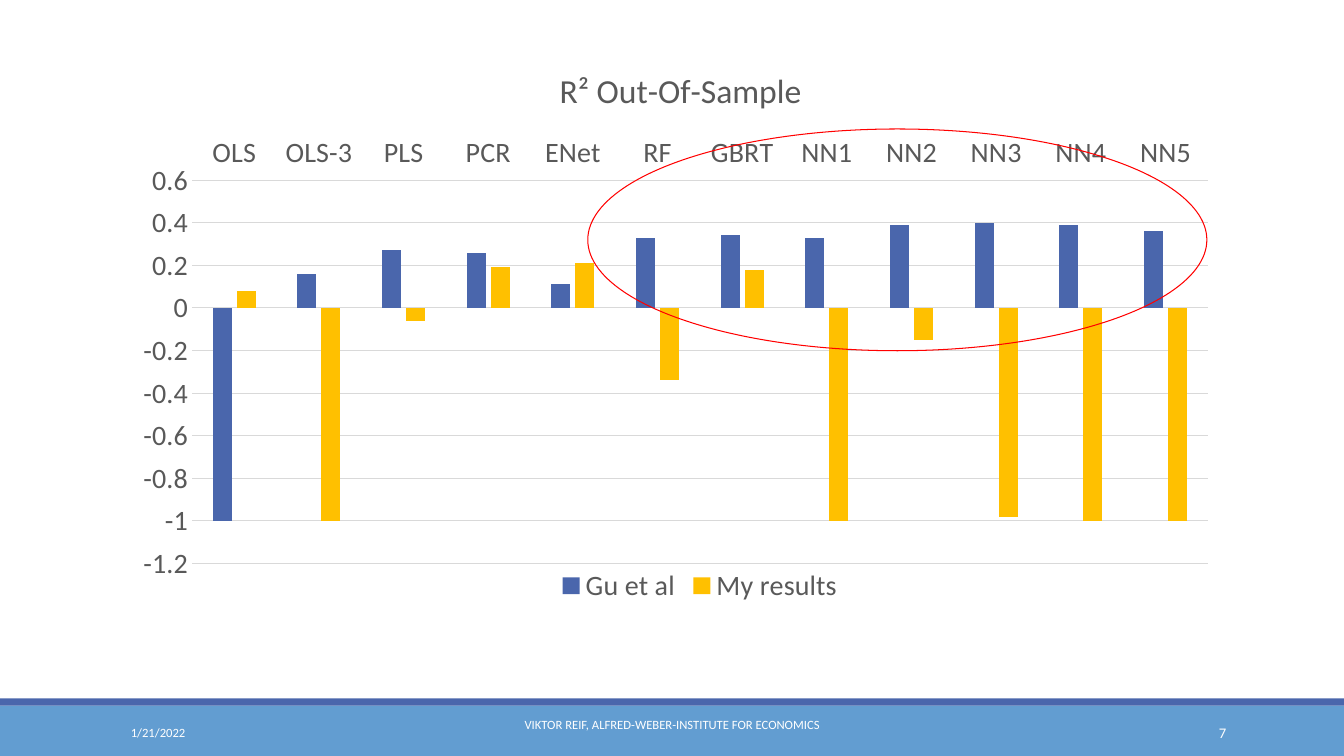
from lxml import etree
from pptx import Presentation
from pptx.chart.data import CategoryChartData
from pptx.dml.color import RGBColor
from pptx.enum import chart as kinds, shapes, text
from pptx.oxml.ns import qn
from pptx.util import Inches, Pt

BLUE, SKY, GOLD, RED = "4A66AC", "629DD1", "FFC000", "FF0000"
WHITE, GRAY, RULE = "FFFFFF", "595959", "D9D9D9"
ALIGN = text.PP_ALIGN


def color(code):
    return RGBColor.from_string(code)


def place(part, after, **spots):
    """Fix a chart part at fractions of the chart area."""
    for old in part.findall(qn("c:layout")):
        part.remove(old)
    layout = etree.Element(qn("c:layout"))
    manual = etree.SubElement(layout, qn("c:manualLayout"))
    if "w" in spots:
        etree.SubElement(manual, qn("c:layoutTarget")).set("val", "inner")
    for key in ("x", "y"):
        etree.SubElement(manual, qn(f"c:{key}Mode")).set("val", "edge")
    for key, val in spots.items():
        etree.SubElement(manual, qn(f"c:{key}")).set("val", str(val))
    part.insert(part.index(part.find(qn(after))) + 1 if after else 0, layout)


class Slide:
    def __init__(self, deck, font="Calibri"):
        self.font = font
        self.page = deck.slides.add_slide(deck.slide_layouts[6])

    def style(self, font, size, code):
        font.name, font.size, font.bold = self.font, Pt(size), False
        font.color.rgb = color(code)

    def shape(self, kind, box, fill=None, line=None):
        item = self.page.shapes.add_shape(kind, *map(Inches, box))
        item.shadow.inherit = False
        if fill:
            item.fill.solid()
            item.fill.fore_color.rgb = color(fill)
        else:
            item.fill.background()
        if line:
            item.line.color.rgb = color(line)
            item.line.width = Pt(0.75)
        else:
            item.line.fill.background()

    def label(self, words, box, size, align):
        frame = self.page.shapes.add_textbox(*map(Inches, box)).text_frame
        frame.word_wrap = True
        frame.vertical_anchor = text.MSO_ANCHOR.MIDDLE
        para = frame.paragraphs[0]
        para.alignment = align
        run = para.add_run()
        run.text = words
        self.style(run.font, size, WHITE)

    def columns(self, title, names, series, box):
        data = CategoryChartData()
        data.categories = names
        for name, _, vals in series:
            data.add_series(name, vals)
        chart = self.page.shapes.add_chart(
            kinds.XL_CHART_TYPE.COLUMN_CLUSTERED, *map(Inches, box), data).chart
        self.style(chart.font, 20, GRAY)

        # Title and legend
        chart.has_title = True
        run = chart.chart_title.text_frame.paragraphs[0].add_run()
        run.text = title
        self.style(run.font, 24, GRAY)
        place(chart.chart_title._element, "c:tx", x=0.39, y=0.027)
        chart.has_legend = True
        chart.legend.position = kinds.XL_LEGEND_POSITION.BOTTOM
        chart.legend.include_in_layout = False
        self.style(chart.legend.font, 20, GRAY)
        place(chart.legend._element, "c:legendPos", x=0.39, y=0.86)

        # Columns
        plot = chart.plots[0]
        plot.gap_width, plot.overlap, plot.vary_by_categories = 219, -27, False
        for bars, (_, code, _) in zip(plot.series, series):
            bars.invert_if_negative = False
            bars.format.fill.solid()
            bars.format.fill.fore_color.rgb = color(code)
        place(plot._element.getparent(), None, x=0.064, y=0.224, w=0.916, h=0.637)

        # Axes
        cats, vals = chart.category_axis, chart.value_axis
        for axis in (cats, vals):
            axis.major_tick_mark = axis.minor_tick_mark = kinds.XL_TICK_MARK.NONE
            self.style(axis.tick_labels.font, 20, GRAY)
        cats.tick_label_position = kinds.XL_TICK_LABEL_POSITION.HIGH
        vals.format.line.fill.background()
        for line in (cats.format.line, vals.major_gridlines.format.line):
            line.color.rgb = color(RULE)
            line.width = Pt(0.75)


deck = Presentation()
deck.slide_width, deck.slide_height = Inches(13.33), Inches(7.5)
slide = Slide(deck)
forms = shapes.MSO_SHAPE

# Footer
slide.shape(forms.RECTANGLE, (0, 7, 13.33, 0.5), SKY)
slide.shape(forms.RECTANGLE, (0, 6.93, 13.33, 0.07), BLUE)
slide.label("1/21/2022", (1.2, 7.07, 2.7, 0.4), 9, ALIGN.LEFT)
slide.label("VIKTOR REIF, ALFRED-WEBER-INSTITUTE FOR ECONOMICS",
            (4.03, 6.99, 5.27, 0.4), 9, ALIGN.CENTER)
slide.label("7", (10.83, 7.07, 1.43, 0.4), 10.5, ALIGN.RIGHT)

# Results by model
models = ["OLS", "OLS-3", "PLS", "PCR", "ENet", "RF", "GBRT",
          "NN1", "NN2", "NN3", "NN4", "NN5"]
results = [
    ("Gu et al", BLUE,
     (-1, 0.16, 0.27, 0.26, 0.11, 0.33, 0.34, 0.33, 0.39, 0.4, 0.39, 0.36)),
    ("My results", GOLD,
     (0.08, -1, -0.06, 0.19, 0.21, -0.34, 0.18, -1, -0.15, -0.98, -1, -1)),
]
slide.columns("R² Out-Of-Sample", models, results, (1.2, 0.45, 11, 5.97))

# Highlight around the nonlinear models
slide.shape(forms.OVAL, (5.83, 1.28, 6.14, 2.2), line=RED)

deck.save("out.pptx")
